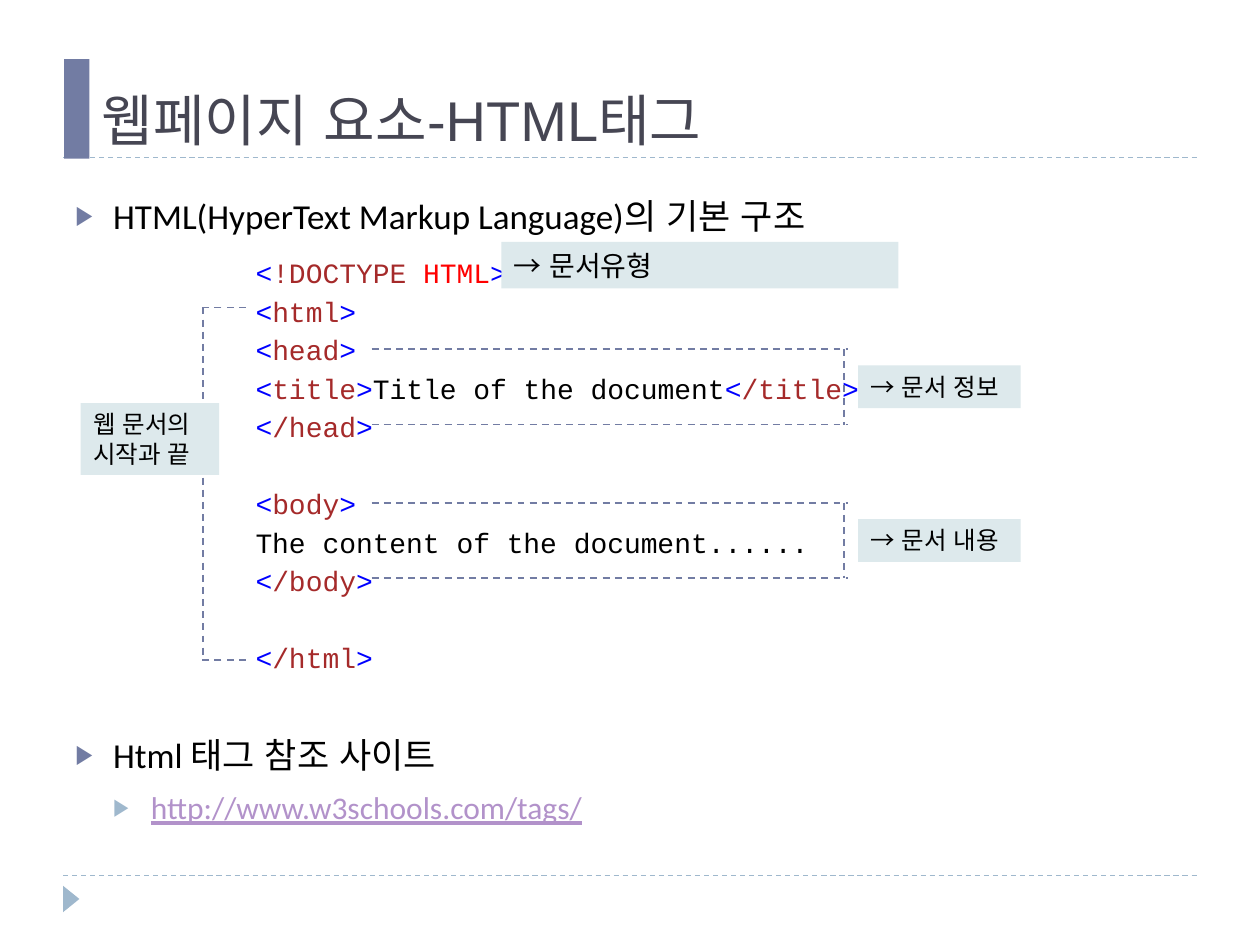
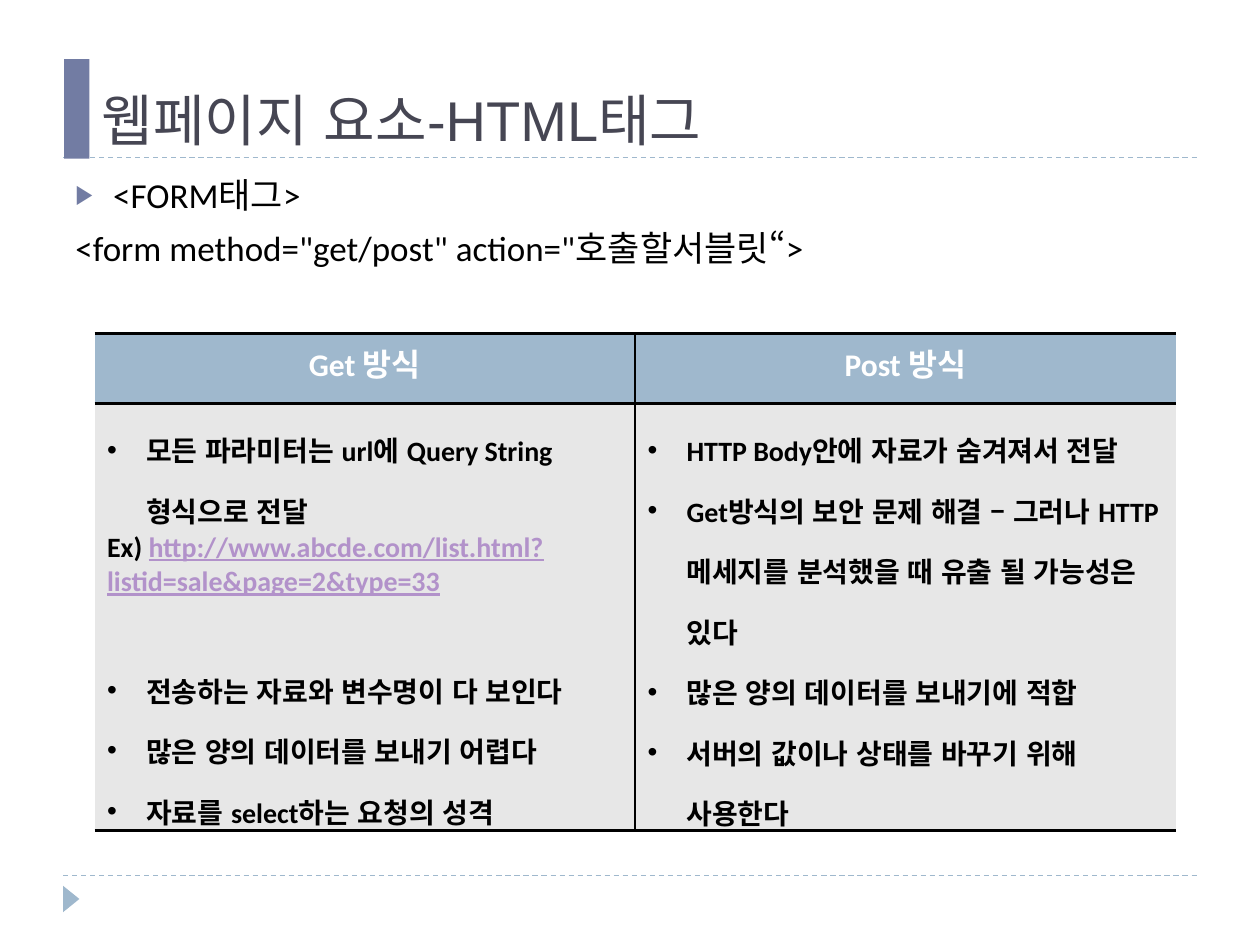
from dataclasses import dataclass

from lxml.etree import SubElement
from pptx import Presentation
from pptx.dml.color import RGBColor
from pptx.enum.dml import MSO_LINE
from pptx.enum.lang import MSO_LANGUAGE_ID as Language
from pptx.enum.shapes import MSO_CONNECTOR as Connector, MSO_SHAPE as Preset
from pptx.enum.text import MSO_ANCHOR as Anchor, PP_ALIGN as Align
from pptx.oxml.ns import qn
from pptx.util import Inches, Pt

COLORS = {
    "accent": "727CA3", "pale_accent": "9FB8CD", "title": "464653",
    "text": "000000", "white": "FFFFFF", "link": "B292CA",
    "label": "DDE9EC", "cell": "E7E7E7",
    "bracket": "0000FF", "tag": "A52A2A", "attribute": "FF0000",
}
TITLE = "웹페이지 요소-HTML태그"
BODY_FONT, TITLE_FONT, CODE_FONT = "Calibri", "Arial", "Courier New"


@dataclass
class Span:
    text: str
    color: str = "text"
    underline: bool = False


@dataclass
class Line:
    spans: list[Span]
    size: float = 20
    font: str = BODY_FONT
    bold: bool = False
    align: Align = Align.LEFT
    spacing: float | Pt = 1.0
    before: float = 0
    bullet: str = ""
    bullet_color: str = ""
    bullet_percent: int = 100
    margin: float = 0
    hanging: float = 0


@dataclass
class Label:
    text: str
    left: float
    top: float
    width: float
    height: float
    size: float = 14
    wrap: bool = False


@dataclass
class Bracket:
    """A dashed spine with two arms that reach to the code."""
    spine: float
    arm_from: float
    arm_to: float
    top: float
    bottom: float


def rgb(name: str) -> RGBColor:
    return RGBColor.from_string(COLORS[name])


def box(left: float, top: float, width: float, height: float) -> list:
    return [Inches(value) for value in (left, top, width, height)]


def add_bullet(paragraph, line: Line) -> None:
    properties = paragraph._p.get_or_add_pPr()
    properties.set("marL", str(Inches(line.margin)))
    properties.set("indent", str(Inches(-line.hanging)))
    if not line.bullet:
        return
    if line.bullet_color:
        color = SubElement(properties, qn("a:buClr"))
        SubElement(color, qn("a:srgbClr"), val=COLORS[line.bullet_color])
    SubElement(properties, qn("a:buSzPct"), val=str(line.bullet_percent * 1000))
    SubElement(properties, qn("a:buFont"), typeface="Arial")
    SubElement(properties, qn("a:buChar"), char=line.bullet)


def write_lines(text_frame, lines: list[Line]) -> None:
    text_frame.word_wrap = True
    for index, line in enumerate(lines):
        paragraph = text_frame.add_paragraph() if index else text_frame.paragraphs[0]
        add_bullet(paragraph, line)
        paragraph.alignment = line.align
        paragraph.line_spacing = line.spacing
        if index:
            paragraph.space_before = Pt(line.before)
        for span in line.spans:
            run = paragraph.add_run()
            run.text = span.text
            font = run.font
            font.name, font.size, font.bold = line.font, Pt(line.size), line.bold
            font.color.rgb = rgb(span.color)
            font.language_id = Language.KOREAN
            if span.underline:
                font.underline = True


def add_text(slide, position: list, lines: list[Line], anchor: Anchor = Anchor.TOP) -> None:
    text_frame = slide.shapes.add_textbox(*position).text_frame
    text_frame.vertical_anchor = anchor
    write_lines(text_frame, lines)


def add_block(slide, preset: Preset, position: list, color: str):
    shape = slide.shapes.add_shape(preset, *position)
    shape.shadow.inherit = False
    shape.fill.solid()
    shape.fill.fore_color.rgb = rgb(color)
    shape.line.fill.background()
    return shape


def add_dashes(slide, start: tuple, end: tuple, color: str, width: float) -> None:
    connector = slide.shapes.add_connector(
        Connector.STRAIGHT, *(Inches(value) for value in start + end))
    connector.line.color.rgb = rgb(color)
    connector.line.width = Pt(width)
    connector.line.dash_style = MSO_LINE.DASH
    SubElement(connector._element.spPr, qn("a:effectLst"))


def add_bracket(slide, bracket: Bracket) -> None:
    add_dashes(slide, (bracket.spine, bracket.top), (bracket.spine, bracket.bottom), "accent", 1)
    for y in (bracket.top, bracket.bottom):
        add_dashes(slide, (bracket.arm_from, y), (bracket.arm_to, y), "accent", 1)


def add_label(slide, label: Label) -> None:
    shape = add_block(slide, Preset.RECTANGLE,
                      box(label.left, label.top, label.width, label.height), "label")
    text_frame = shape.text_frame
    text_frame.vertical_anchor = Anchor.TOP
    write_lines(text_frame, [Line([Span(text)], label.size) for text in label.text.split("\n")])
    text_frame.word_wrap = label.wrap


def add_page(presentation):
    """Add a blank slide with the shared rules, marks and title."""
    slide = presentation.slides.add_slide(presentation.slide_layouts[6])
    for y in (6.95, 1.25):
        add_dashes(slide, (0.5, y), (9.5, y), "pale_accent", 0.75)
    marker = add_block(slide, Preset.ISOSCELES_TRIANGLE, box(0.46, 7.07, 0.21, 0.13), "pale_accent")
    marker.rotation = 90
    add_block(slide, Preset.RECTANGLE, box(0.51, 0.47, 0.2, 0.79), "accent")
    add_text(slide, box(0.71, 0.47, 8.79, 0.79),
             [Line([Span(TITLE, "title")], 32, TITLE_FONT)], Anchor.BOTTOM)
    return slide


def topic(text: str, spacing: float = 1.0, before: float = 6) -> Line:
    return Line([Span(text)], spacing=spacing, before=before, bullet="▶",
                bullet_color="accent", bullet_percent=76, margin=0.3, hanging=0.3)


def tag(name: str) -> list[Span]:
    return [Span("<", "bracket"), Span(name, "tag"), Span(">", "bracket")]


def code(spans: list[Span], before: float = 0) -> Line:
    return Line(spans, 16, CODE_FONT, spacing=Pt(22), before=before)


def point(text: str, before: float = 0) -> Line:
    return Line([Span(text)], 16, bold=True, spacing=1.5, before=before,
                bullet="•", margin=0.31, hanging=0.31)


def set_border(cell, side: str, width: float) -> None:
    """Draw one side of a cell; a width of 0 hides it."""
    border = SubElement(cell._tc.get_or_add_tcPr(), qn(f"a:ln{side}"), w=str(Pt(width)))
    if width:
        fill = SubElement(border, qn("a:solidFill"))
        SubElement(fill, qn("a:srgbClr"), val=COLORS["text"])
    else:
        SubElement(border, qn("a:noFill"))


def add_method_table(slide, rows: list[list[list[Line]]]) -> None:
    table = slide.shapes.add_table(2, 2, *box(0.75, 2.65, 8.58, 3.94)).table
    for row, height in zip(table.rows, (0.55, 3.39)):
        row.height = Inches(height)
    for row_index, row in enumerate(rows):
        for column_index, lines in enumerate(row):
            cell = table.cell(row_index, column_index)
            widths = {"L": column_index, "R": 1 - column_index, "T": 2, "B": 2}
            for side, width in widths.items():
                set_border(cell, side, width)
            cell.fill.solid()
            cell.fill.fore_color.rgb = rgb("cell" if row_index else "pale_accent")
            write_lines(cell.text_frame, lines)


def build_structure_slide(presentation) -> None:
    slide = add_page(presentation)
    add_text(slide, box(0.5, 1.33, 9, 5.4), [
        topic("HTML(HyperText Markup Language)의 기본 구조", 1.5),
        topic("Html 태그 참조 사이트", 1.5, 272),
        Line([Span("http://www.w3schools.com/tags/", "link", True)], 18, spacing=1.1,
             before=5, bullet="▶", bullet_color="pale_accent", bullet_percent=76,
             margin=0.6, hanging=0.3),
    ])
    doctype = [Span("<", "bracket"), Span("!DOCTYPE ", "tag"),
               Span("HTML", "attribute"), Span(">", "bracket")]
    add_text(slide, box(1.93, 1.94, 6.14, 3.49), [
        code(doctype),
        code(tag("html")),
        code(tag("head")),
        code(tag("title") + [Span("Title of the document")] + tag("/title")),
        code(tag("/head")),
        code(tag("body"), 22),
        code([Span("The content of the document......")]),
        code(tag("/body")),
        code(tag("/html"), 22),
    ])
    for bracket in (Bracket(1.61, 1.95, 1.6, 2.44, 5.24),
                    Bracket(6.7, 2.95, 6.73, 2.77, 3.37),
                    Bracket(6.7, 2.95, 6.73, 3.99, 4.59)):
        add_bracket(slide, bracket)
    for label in (Label("→ 문서유형", 3.98, 1.92, 3.15, 0.37, 16, True),
                  Label("웹 문서의\n시작과 끝", 0.64, 3.2, 1.1, 0.57),
                  Label("→ 문서 정보", 6.81, 2.9, 1.29, 0.34),
                  Label("→ 문서 내용", 6.81, 4.12, 1.29, 0.34)):
        add_label(slide, label)


def build_form_slide(presentation) -> None:
    slide = add_page(presentation)
    add_text(slide, box(0.5, 1.33, 9, 5.4), [
        topic("<FORM태그>"),
        Line([Span('<form method="get/post" action="호출할서블릿“>')], before=6),
    ])
    headers = [[Line([Span(text, "white")], 18, bold=True, align=Align.CENTER)]
               for text in ("Get 방식", "Post 방식")]
    example = "http://www.abcde.com/list.html?listid=sale&page=2&type=33"
    get_points = [
        point("모든 파라미터는 url에 Query String 형식으로 전달"),
        Line([Span("Ex) "), Span(example, "link", True)], 16, bold=True),
        point("전송하는 자료와 변수명이 다 보인다", 29),
        point("많은 양의 데이터를 보내기 어렵다"),
        point("자료를 select하는 요청의 성격"),
    ]
    post_points = [point(text) for text in (
        "HTTP Body안에 자료가 숨겨져서 전달",
        "Get방식의 보안 문제 해결 – 그러나 HTTP 메세지를 분석했을 때 유출 될 가능성은 있다",
        "많은 양의 데이터를 보내기에 적합",
        "서버의 값이나 상태를 바꾸기 위해 사용한다",
    )]
    add_method_table(slide, [headers, [get_points, post_points]])


def main() -> None:
    presentation = Presentation()
    presentation.slide_width, presentation.slide_height = Inches(10), Inches(7.5)
    build_structure_slide(presentation)
    build_form_slide(presentation)
    presentation.save("out.pptx")


if __name__ == "__main__":
    main()
